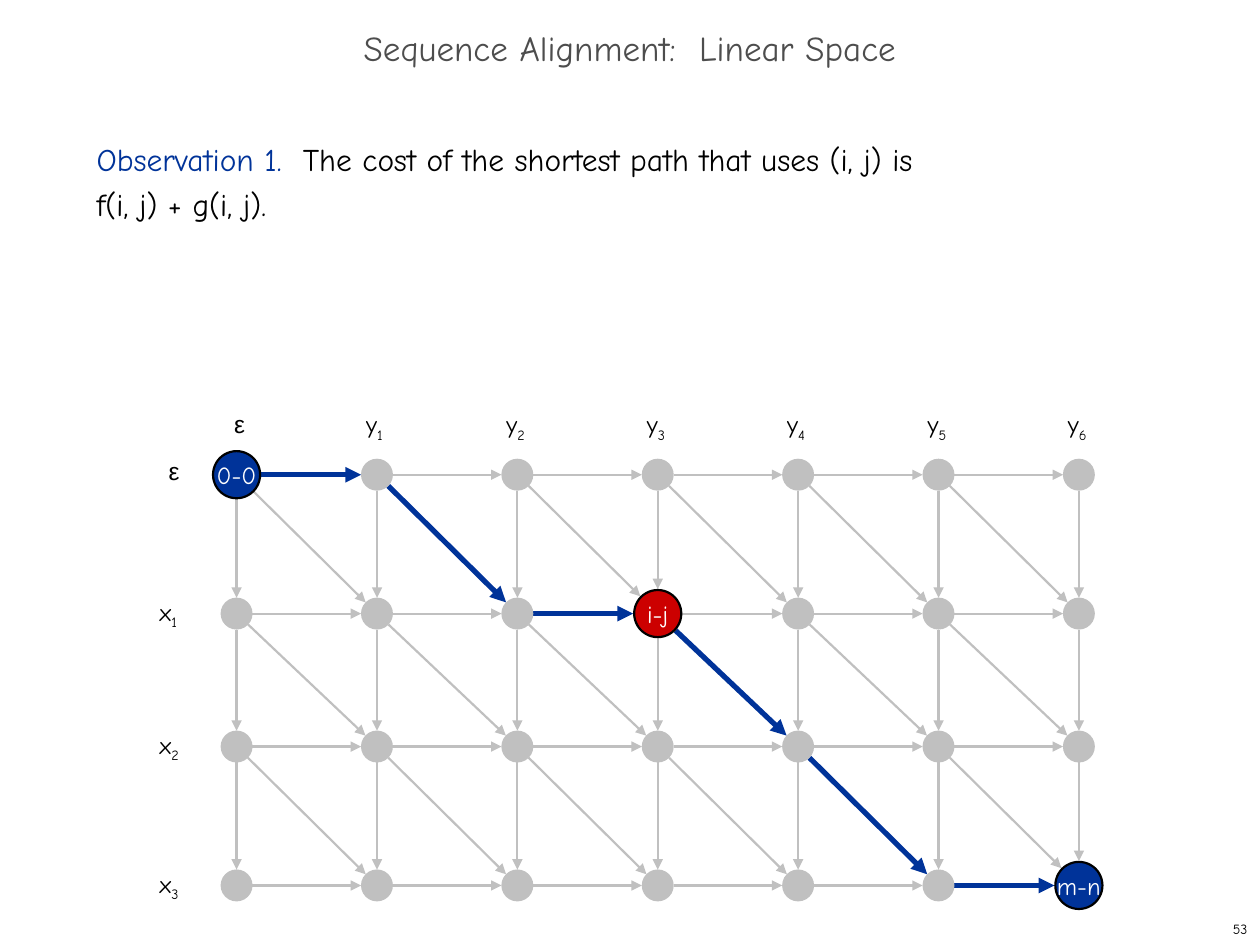
from itertools import product
from math import hypot

from lxml.etree import SubElement
from pptx import Presentation
from pptx.dml.color import RGBColor
from pptx.enum.shapes import MSO_CONNECTOR, MSO_SHAPE
from pptx.enum.text import MSO_ANCHOR, PP_ALIGN
from pptx.oxml.ns import qn
from pptx.util import Cm, Pt

GREY, BLUE, RED, BLACK, WHITE = "C0C0C0", "003399", "CC0000", "000000", "FFFFFF"
COLUMNS = [4.77 + 2.83 * index for index in range(7)]
ROWS = [9.57, 12.37, 15.05, 17.85]
SMALL, LARGE = 0.6, 0.95
MARKED = {(0, 0): ("0-0", BLUE), (1, 3): ("i-j", RED), (3, 6): ("m-n", BLUE)}
SHORTEST_PATH = [(0, 0), (0, 1), (1, 2), (1, 3), (2, 4), (3, 5), (3, 6)]


def rgb(value):
    return RGBColor.from_string(value)


def add_span(para, text, size=14, color=BLACK, font="Comic Neue", baseline=None):
    span = para.add_run()
    span.text = text
    span.font.size = Pt(size)
    span.font.name = font
    span.font.color.rgb = rgb(color)
    if baseline:
        span._r.get_or_add_rPr().set("baseline", str(baseline * 1000))


def add_box(page, left, top, width, height, wrap=True):
    box = page.shapes.add_textbox(Cm(left), Cm(top), Cm(width), Cm(height))
    box.text_frame.word_wrap = wrap
    return box.text_frame


def add_title(page, text):
    title = page.shapes.title
    title.left, title.top, title.width, title.height = Cm(0), Cm(0.43), Cm(25.4), Cm(1.27)
    title.text_frame.vertical_anchor = MSO_ANCHOR.MIDDLE
    para = title.text_frame.paragraphs[0]
    para.alignment = PP_ALIGN.CENTER
    para.line_spacing = 0.7
    add_span(para, text, size=20, color="4D4D4D")


def add_observation(page):
    para = add_box(page, 1.7, 2.54, 21.8, 15.04).paragraphs[0]
    para.line_spacing = Pt(26)
    add_span(para, "Observation 1.  ", size=18, color=BLUE)
    add_span(para, "The cost of the shortest path that uses (i, j) is", size=18)
    para.add_line_break()
    add_span(para, "f(i, j) + g(i, j).", size=18)


def add_page_number(page, number):
    frame = add_box(page, 20.12, 18.42, 5.28, 0.63, wrap=False)
    frame.vertical_anchor = MSO_ANCHOR.MIDDLE
    para = frame.paragraphs[0]
    para.alignment = PP_ALIGN.RIGHT
    add_span(para, number, size=8)


def add_label(page, left, top, letter, index):
    para = add_box(page, left, top, 1.14, 0.94).paragraphs[0]
    if index:
        add_span(para, letter)
        add_span(para, str(index), baseline=-25)
    else:
        add_span(para, "ε", font="Arial")


def add_labels(page):
    add_label(page, 4.47, 8.13, "y", 0)
    add_label(page, 3.15, ROWS[0] - 0.5, "x", 0)
    for index, x in enumerate(COLUMNS[1:], 1):
        add_label(page, x - 0.47, 8.13, "y", index)
    for index, y in enumerate(ROWS[1:], 1):
        add_label(page, 2.97, y - 0.46, "x", index)


def add_node(page, node):
    row, column = node
    text, color = MARKED.get(node, ("", GREY))
    size = LARGE if text else SMALL
    circle = page.shapes.add_shape(
        MSO_SHAPE.OVAL, Cm(COLUMNS[column] - size / 2), Cm(ROWS[row] - size / 2), Cm(size), Cm(size))
    circle.shadow.inherit = False
    circle.fill.solid()
    circle.fill.fore_color.rgb = rgb(color)
    circle.line.color.rgb = rgb(BLACK if text else GREY)
    circle.line.width = Pt(1.25)
    if text:
        frame = circle.text_frame
        frame.word_wrap = False
        frame.vertical_anchor = MSO_ANCHOR.MIDDLE
        para = frame.paragraphs[0]
        para.alignment = PP_ALIGN.CENTER
        add_span(para, text, color=WHITE)


def clearance(node):
    return (LARGE if node in MARKED else SMALL) / 2 + 0.02


def add_edge(page, start, end):
    x1, y1 = COLUMNS[start[1]], ROWS[start[0]]
    x2, y2 = COLUMNS[end[1]], ROWS[end[0]]
    length = hypot(x2 - x1, y2 - y1)
    across, down = (x2 - x1) / length, (y2 - y1) / length
    near, far = clearance(start), clearance(end)
    edge = page.shapes.add_connector(
        MSO_CONNECTOR.STRAIGHT,
        Cm(x1 + across * near), Cm(y1 + down * near),
        Cm(x2 - across * far), Cm(y2 - down * far))
    chosen = (start, end) in zip(SHORTEST_PATH, SHORTEST_PATH[1:])
    edge.line.color.rgb = rgb(BLUE if chosen else GREY)
    edge.line.width = Pt(3 if chosen else 1.25)
    SubElement(edge.line._get_or_add_ln(), qn("a:tailEnd"), type="triangle")
    SubElement(edge._element.spPr, qn("a:effectLst"))


def add_grid(page):
    nodes = list(product(range(len(ROWS)), range(len(COLUMNS))))
    for (row, column), (down, across) in product(nodes, [(0, 1), (1, 0), (1, 1)]):
        end = (row + down, column + across)
        if end in nodes:
            add_edge(page, (row, column), end)
    for node in nodes:
        add_node(page, node)


def main():
    deck = Presentation()
    deck.slide_width, deck.slide_height = Cm(25.4), Cm(19.05)
    page = deck.slides.add_slide(deck.slide_layouts[5])
    add_title(page, "Sequence Alignment:  Linear Space")
    add_observation(page)
    add_page_number(page, "53")
    add_grid(page)
    add_labels(page)
    deck.save("out.pptx")


if __name__ == "__main__":
    main()
